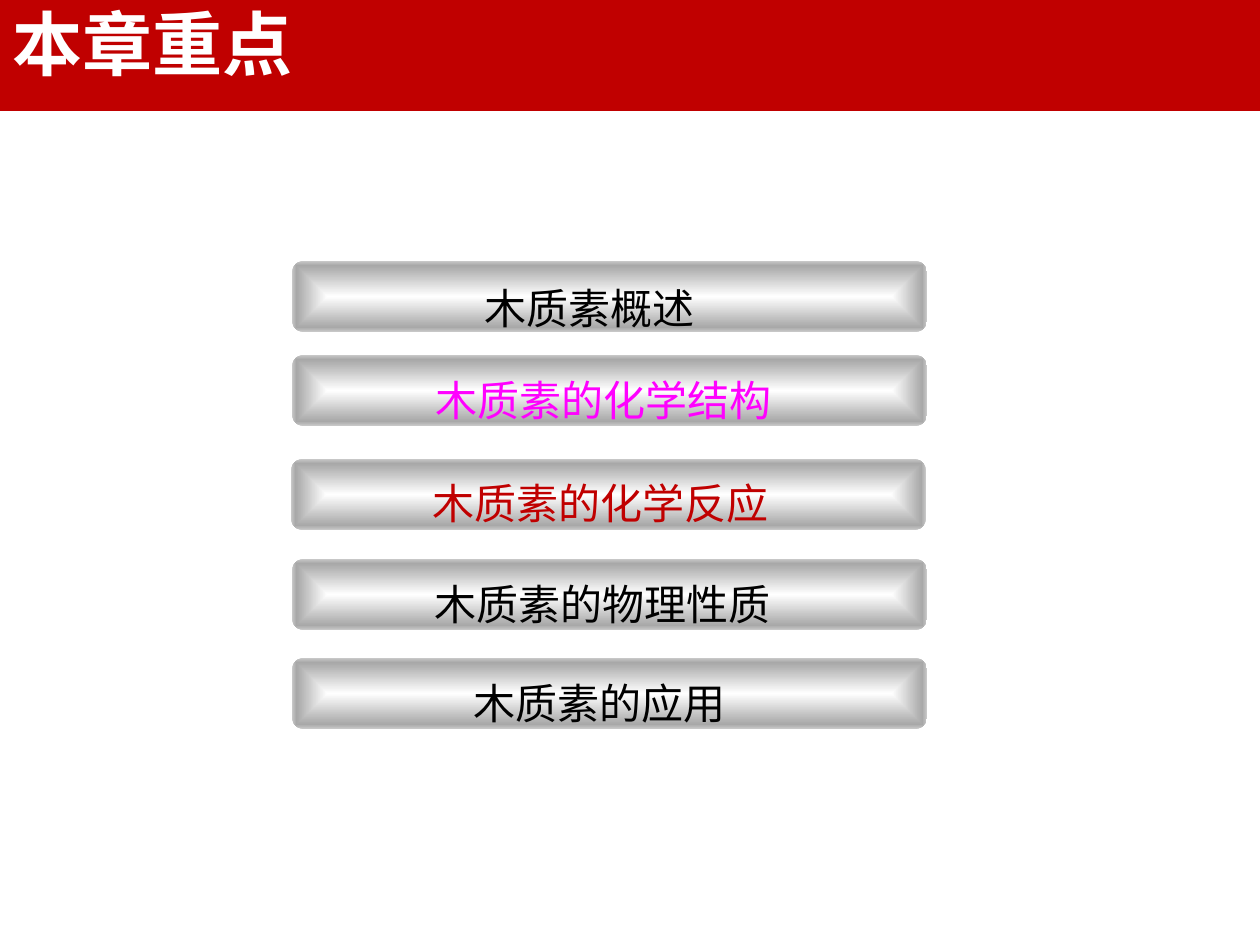
from dataclasses import dataclass

from lxml import etree
from pptx import Presentation
from pptx.dml.color import RGBColor
from pptx.enum.shapes import MSO_SHAPE
from pptx.enum.text import MSO_AUTO_SIZE
from pptx.oxml import parse_xml
from pptx.oxml.ns import nsdecls, qn
from pptx.util import Emu, Pt

RECT = MSO_SHAPE.RECTANGLE
ROUND_RECT = MSO_SHAPE.ROUNDED_RECTANGLE
FIT_SHAPE = MSO_AUTO_SIZE.SHAPE_TO_FIT_TEXT
NO_FIT = MSO_AUTO_SIZE.NONE
PX = 914400 / 126
FONT = "Noto Sans CJK SC"
BAR_W, BAR_H, LABEL_H = 635, 71, 81
COLORS = {
    "red": "C00000",
    "white": "FFFFFF",
    "black": "000000",
    "magenta": "FF00FF",
    "gray": "A8A8A8",
    "silver": "C9C9C9",
}
BAR_STOPS = ((0, "white"), (87, "gray"), (100, "silver"))


@dataclass
class Topic:
    text: str
    color: str
    bar_x: int
    bar_y: int
    label_x: int
    label_y: int
    label_w: int


TOPICS = (
    Topic("木质素概述", "black", 292, 261, 472, 251, 238),
    Topic("木质素的化学结构", "magenta", 292, 355, 423, 343, 364),
    Topic("木质素的化学反应", "red", 291, 459, 420, 446, 364),
    Topic("木质素的物理性质", "black", 292, 559, 422, 547, 365),
    Topic("木质素的应用", "black", 292, 658, 461, 646, 280),
)


def box(*lengths: int) -> list[Emu]:
    return [Emu(round(n * PX)) for n in lengths]


def add_block(s, kind, x: int, y: int, w: int, h: int):
    sp = s.shapes.add_shape(kind, *box(x, y, w, h))
    sp.shadow.inherit = False
    sp.line.fill.background()
    return sp


def fill_bar(sp) -> None:
    stops = "".join(
        f'<a:gs pos="{pos * 1000}"><a:srgbClr val="{COLORS[name]}"/></a:gs>'
        for pos, name in BAR_STOPS
    )
    grad = parse_xml(
        f'<a:gradFill {nsdecls("a")} rotWithShape="1"><a:gsLst>{stops}</a:gsLst>'
        '<a:path path="shape"><a:fillToRect l="50000" t="50000" r="50000" b="50000"/>'
        "</a:path></a:gradFill>"
    )
    sp._element.spPr.find(qn("a:prstGeom")).addnext(grad)


def add_text(s, text: str, x: int, y: int, w: int, h: int, size: int, color: str,
             spacing: float, bold: bool = False, wrap: bool = False) -> None:
    tf = s.shapes.add_textbox(*box(x, y, w, h)).text_frame
    tf.word_wrap = wrap
    tf.auto_size = NO_FIT if wrap else FIT_SHAPE
    p = tf.paragraphs[0]
    p.line_spacing = spacing
    r = p.add_run()
    r.text = text
    r.font.size = Pt(size)
    r.font.bold = bold
    r.font.color.rgb = RGBColor.from_string(COLORS[color])
    r.font.name = FONT
    etree.SubElement(r.font._element, qn("a:ea"), typeface=FONT)


def add_topic(s, t: Topic) -> None:
    fill_bar(add_block(s, ROUND_RECT, t.bar_x, t.bar_y, BAR_W, BAR_H))
    add_text(s, t.text, t.label_x, t.label_y, t.label_w, LABEL_H, 24, t.color, 1.5)


def main() -> None:
    """Build the chapter key points slide."""
    prs = Presentation()
    prs.slide_width, prs.slide_height = box(1260, 945)
    s = prs.slides.add_slide(prs.slide_layouts[6])
    banner = add_block(s, RECT, 0, -1, 1260, 112)
    banner.fill.solid()
    banner.fill.fore_color.rgb = RGBColor.from_string(COLORS["red"])
    add_text(s, "本章重点", 0, 4, 1087, 112, 40, "white", 0.9, bold=True, wrap=True)
    for topic in TOPICS:
        add_topic(s, topic)
    prs.save("out.pptx")


if __name__ == "__main__":
    main()
